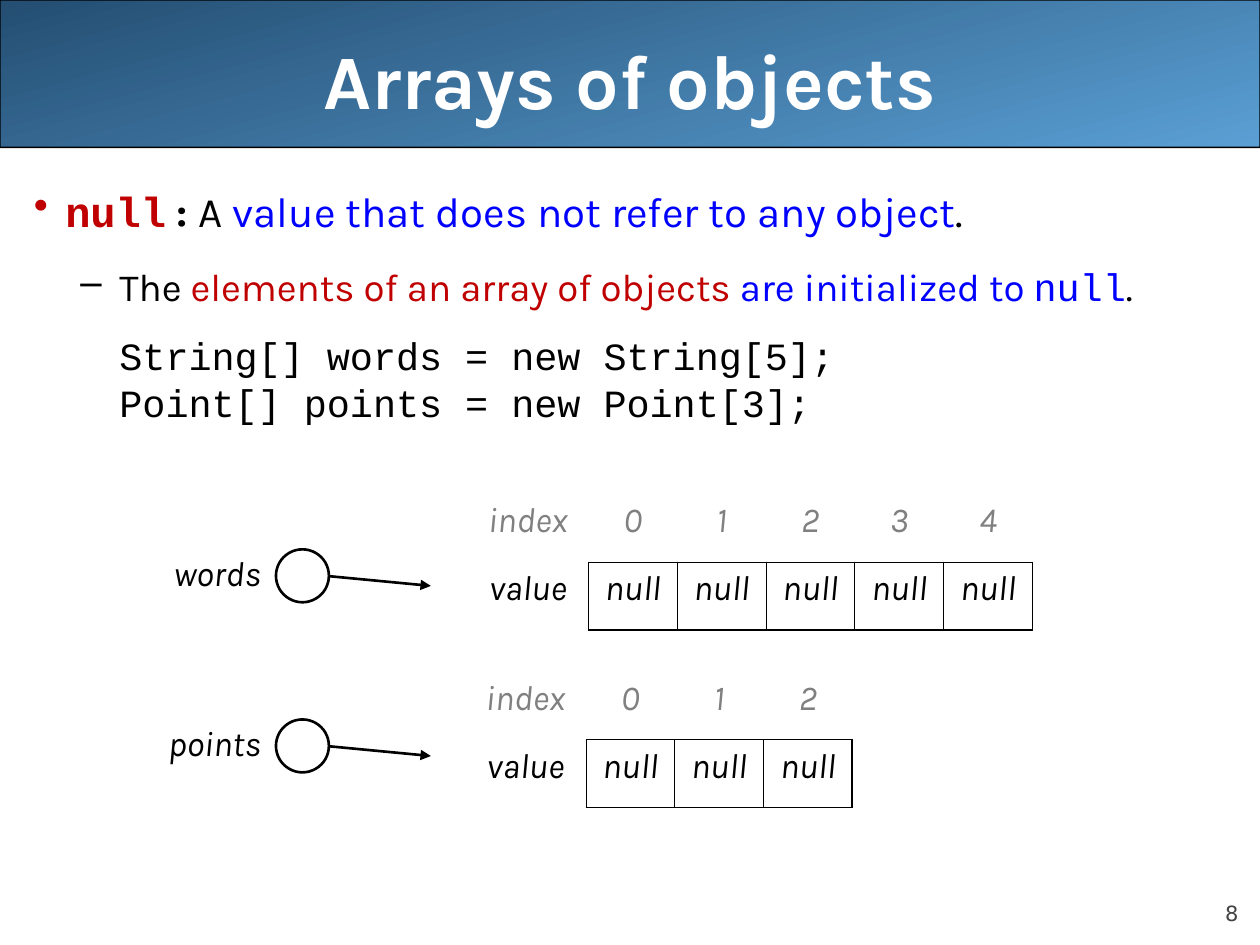
from lxml import etree
from pptx import Presentation
from pptx.dml.color import RGBColor
from pptx.enum.shapes import MSO_CONNECTOR, MSO_SHAPE
from pptx.enum.text import MSO_ANCHOR, PP_ALIGN
from pptx.oxml.ns import qn
from pptx.util import Inches, Pt

STRAIGHT = MSO_CONNECTOR.STRAIGHT
BANNER, OVAL = MSO_SHAPE.ROUNDED_RECTANGLE, MSO_SHAPE.OVAL
TOP, MIDDLE, BOTTOM = MSO_ANCHOR.TOP, MSO_ANCHOR.MIDDLE, MSO_ANCHOR.BOTTOM
CENTER, RIGHT = PP_ALIGN.CENTER, PP_ALIGN.RIGHT

BLACK = RGBColor(0x00, 0x00, 0x00)
WHITE = RGBColor(0xFF, 0xFF, 0xFF)
RED = RGBColor(0xC0, 0x00, 0x00)
BLUE = RGBColor(0x00, 0x00, 0xFF)
GRAY = RGBColor(0x80, 0x80, 0x80)
DARK_GRAY = RGBColor(0x42, 0x42, 0x42)
NAVY = RGBColor(0x24, 0x4E, 0x72)
SKY = RGBColor(0x5A, 0x9F, 0xD4)

SANS, MONO, NUMBER_FONT = "Karla", "Courier New", "DejaVu Sans"
THIN, THICK = 0.45, 1.08


class SlideBuilder:
    """Draws styled elements on one slide."""

    def __init__(self, slide):
        self.slide = slide

    def set_font(self, font, size, color=BLACK, name=SANS, bold=False, italic=False):
        font.size, font.name = Pt(size), name
        font.bold, font.italic = bold, italic
        font.color.rgb = color

    def banner(self, left, top, width, height):
        shape = self.slide.shapes.add_shape(
            BANNER, Inches(left), Inches(top), Inches(width), Inches(height))
        shape.shadow.inherit = False
        shape.adjustments[0] = 0.001
        shape.fill.gradient()
        shape.fill.gradient_angle = 285
        for stop, color, position in zip(shape.fill.gradient_stops, (NAVY, SKY), (0, 1)):
            stop.color.rgb = color
            stop.position = position
        shape.line.color.rgb = BLACK
        shape.line.width = Pt(0.75)

    def text_box(self, shapes, box, anchor=TOP, margins=(0.1, 0.05)):
        frame = shapes.add_textbox(*map(Inches, box)).text_frame
        frame.word_wrap = True
        frame.vertical_anchor = anchor
        frame.margin_left = frame.margin_right = Inches(margins[0])
        frame.margin_top = frame.margin_bottom = Inches(margins[1])
        return frame

    def fill_paragraph(self, paragraph, text, align, space=0, **style):
        paragraph.text = text
        paragraph.alignment = align
        paragraph.space_before = Pt(space)
        self.set_font(paragraph.font, **style)

    def body(self, box, items):
        frame = self.text_box(self.slide.shapes, box)
        for index, (indent, hanging, bullet, space, line_spacing, size, runs) in enumerate(items):
            paragraph = frame.add_paragraph() if index else frame.paragraphs[0]
            paragraph.space_before = Pt(space)
            paragraph.line_spacing = line_spacing
            properties = paragraph._p.get_or_add_pPr()
            properties.set("marL", str(Inches(indent)))
            properties.set("indent", str(-Inches(hanging)))
            if bullet:
                character, color = bullet
                holder = etree.SubElement(properties, qn("a:buClr"))
                etree.SubElement(holder, qn("a:srgbClr"), val=str(color))
                etree.SubElement(properties, qn("a:buChar"), char=character)
            for text, color, name, bold in runs:
                run = paragraph.add_run()
                run.text = text
                self.set_font(run.font, size, color, name, bold)

    def border(self, cell, widths):
        properties = cell._tc.get_or_add_tcPr()
        for side in "LRTB":
            width = widths.get(side, 0)
            line = etree.SubElement(properties, qn(f"a:ln{side}"), w=str(Pt(width)))
            if width:
                fill = etree.SubElement(line, qn("a:solidFill"))
                etree.SubElement(fill, qn("a:srgbClr"), val=str(BLACK))
            else:
                etree.SubElement(line, qn("a:noFill"))

    def array_table(self, left, top, count):
        label_width, cell_width, row_height = 0.96, 0.705, 0.54
        table = self.slide.shapes.add_table(
            2, count + 1, Inches(left), Inches(top),
            Inches(label_width + count * cell_width), Inches(2 * row_height)).table
        table.first_row = table.horz_banding = False
        for column in range(count + 1):
            table.columns[column].width = Inches(cell_width if column else label_width)
            texts = (str(column - 1), "null") if column else ("index", "value")
            if column:
                right = THICK if column == count else THIN
                borders = ({"B": THIN}, {"L": THIN, "R": right, "T": THIN, "B": THICK})
            else:
                borders = ({}, {"R": THIN})
            for row, color in enumerate((GRAY, BLACK)):
                cell = table.cell(row, column)
                self.fill_paragraph(cell.text_frame.paragraphs[0], texts[row], CENTER, 5,
                                    size=20, color=color, italic=True)
                self.border(cell, borders[row])
                cell.fill.background()

    def reference(self, name, top):
        shapes = self.slide.shapes.add_group_shape().shapes
        frame = self.text_box(shapes, (0.67, top, 1.5, 0.49))
        self.fill_paragraph(frame.paragraphs[0], name, RIGHT, 5, size=20, italic=True)
        arrow = shapes.add_connector(
            STRAIGHT, Inches(2.58), Inches(top + 0.24), Inches(3.42), Inches(top + 0.32))
        arrow.line.color.rgb = BLACK
        arrow.line.width = Pt(1.5)
        etree.SubElement(arrow.line._get_or_add_ln(), qn("a:tailEnd"), type="triangle")
        etree.SubElement(arrow._element.spPr, qn("a:effectLst"))
        circle = shapes.add_shape(
            OVAL, Inches(2.19), Inches(top + 0.03), Inches(0.42), Inches(0.42))
        circle.shadow.inherit = False
        circle.fill.solid()
        circle.fill.fore_color.rgb = WHITE
        circle.line.color.rgb = BLACK
        circle.line.width = Pt(1.5)


def main():
    presentation = Presentation()
    presentation.slide_width, presentation.slide_height = Inches(10), Inches(7.5)
    slide = presentation.slides.add_slide(presentation.slide_layouts[6])
    builder = SlideBuilder(slide)

    builder.banner(0, 0, 10, 1.17)
    number = builder.text_box(slide.shapes, (9, 6.95, 0.83, 0.4), BOTTOM, (0, 0))
    builder.fill_paragraph(number.paragraphs[0], "8", RIGHT, 5,
                           size=12, color=DARK_GRAY, name=NUMBER_FONT)
    title = builder.text_box(slide.shapes, (0.5, 0, 9, 1.25), MIDDLE)
    builder.fill_paragraph(title.paragraphs[0], "Arrays of objects", CENTER,
                           size=44, color=WHITE, bold=True)

    builder.body((0.17, 1.42, 9.83, 5.67), [
        (0.25, 0.25, ("•", RED), 6, 1, 24, [
            ("null", RED, MONO, True),
            (" : ", BLACK, SANS, True),
            ("A ", BLACK, SANS, False),
            ("value that does not refer to any object", BLUE, SANS, False),
            (".", BLACK, SANS, False)]),
        (0.68, 0.31, ("–", BLACK), 16, 1, 22, [
            ("The ", BLACK, SANS, False),
            ("elements of an array of objects ", RED, SANS, False),
            ("are initialized to ", BLUE, SANS, False),
            ("null", BLUE, MONO, False),
            (".", BLACK, SANS, False)]),
        (0.68, 0, None, 18, 0.8, 22, [
            ("String[] words = new String[5];", BLACK, MONO, False)]),
        (0.68, 0, None, 5.5, 0.8, 22, [
            ("Point[] points = new Point[3];", BLACK, MONO, False)]),
    ])

    for name, count, table_left, table_top, label_top in (
            ("words", 5, 3.71, 3.92, 4.33), ("points", 3, 3.69, 5.33, 5.68)):
        builder.array_table(table_left, table_top, count)
        builder.reference(name, label_top)

    presentation.save("out.pptx")


if __name__ == "__main__":
    main()
